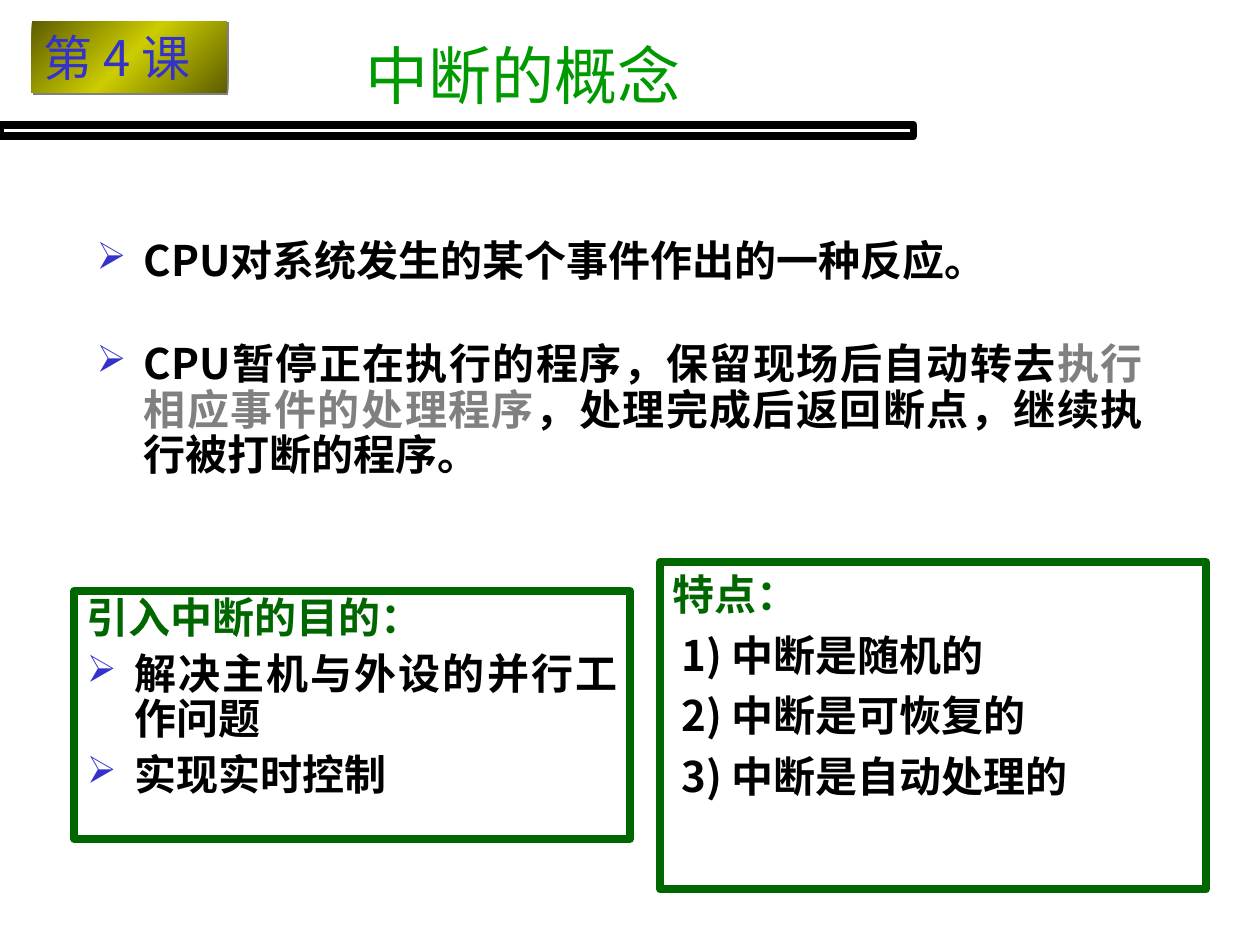
from dataclasses import dataclass

import pptx
import pptx.dml.color
import pptx.enum.shapes
import pptx.enum.text
import pptx.oxml
import pptx.oxml.ns
import pptx.util
from lxml import etree

Pt = pptx.util.Pt
RGB = pptx.dml.color.RGBColor.from_string
qn = pptx.oxml.ns.qn
ALIGN = pptx.enum.text.PP_ALIGN
ANCHOR = pptx.enum.text.MSO_ANCHOR
RECTANGLE = pptx.enum.shapes.MSO_SHAPE.RECTANGLE


@dataclass(frozen=True)
class Theme:
    font: str = "Noto Sans CJK SC"
    badge_font: str = "Noto Sans CJK JP"
    title_size: int = 36
    badge_size: int = 28
    body_size: int = 24
    title: str = "009900"
    heading: str = "006600"
    ink: str = "000000"
    muted: str = "808080"
    accent: str = "3333CC"
    gold: str = "CCCC00"
    dark_gold: str = "5E5E00"
    border: float = 4.5
    hanging: int = 27
    gap: int = 6


THEME = Theme()


def add_run(para, text, size, color, bold=False, font=THEME.font):
    span = para.add_run()
    span.text = text
    span.font.size = Pt(size)
    span.font.bold = bold
    span.font.name = font
    span.font.color.rgb = RGB(color)
    etree.SubElement(span.font._element, qn("a:ea"), typeface=font)


def set_indent(para, left, first):
    properties = para._p.get_or_add_pPr()
    properties.set("marL", str(Pt(left)))
    properties.set("indent", str(Pt(first)))
    return properties


def add_bullet(para):
    properties = set_indent(para, THEME.hanging, -THEME.hanging)
    color = etree.SubElement(properties, qn("a:buClr"))
    etree.SubElement(color, qn("a:srgbClr"), val=THEME.accent)
    etree.SubElement(properties, qn("a:buSzPct"), val="90000")
    etree.SubElement(properties, qn("a:buChar"), char="➢")


def add_paragraphs(frame, items, line_spacing, gap=THEME.gap):
    """Each item is (kind, [(text, color), ...])."""
    for index, (kind, runs) in enumerate(items):
        para = frame.add_paragraph() if index else frame.paragraphs[0]
        para.alignment = ALIGN.JUSTIFY
        para.line_spacing = line_spacing
        if index:
            para.space_before = Pt(gap)
        if kind == "bullet":
            add_bullet(para)
        elif kind == "number":
            set_indent(para, 5, 0)
        for text, color in runs:
            add_run(para, text, THEME.body_size, color, bold=True)


def add_rectangle(slide, left, top, width, height, line=None):
    box = slide.shapes.add_shape(RECTANGLE, Pt(left), Pt(top), Pt(width), Pt(height))
    box.shadow.inherit = False
    box.fill.background()
    if line:
        box.line.color.rgb = RGB(line)
        box.line.width = Pt(THEME.border)
    else:
        box.line.fill.background()
    frame = box.text_frame
    frame.word_wrap = True
    frame.vertical_anchor = ANCHOR.TOP
    return box


def add_badge(slide, text):
    badge = add_rectangle(slide, 18, 12.2, 111.6, 41)
    badge.fill.gradient()
    fill = badge._element.spPr.find(qn("a:gradFill"))
    stops = fill.find(qn("a:gsLst"))
    for stop in list(stops):
        stops.remove(stop)
    for position, color in ((0, THEME.dark_gold), (50, THEME.gold), (100, THEME.dark_gold)):
        stop = etree.SubElement(stops, qn("a:gs"), pos=str(position * 1000))
        etree.SubElement(stop, qn("a:srgbClr"), val=color)
    fill.find(qn("a:lin")).set("ang", str(45 * 60000))
    effects = badge._element.spPr.find(qn("a:effectLst"))
    shadow = etree.SubElement(effects, qn("a:outerShdw"), dist=str(Pt(1.4)), dir=str(45 * 60000))
    etree.SubElement(shadow, qn("a:srgbClr"), val=THEME.muted)
    badge.text_frame.word_wrap = False
    para = badge.text_frame.paragraphs[0]
    para.alignment = ALIGN.LEFT
    add_run(para, text, THEME.badge_size, THEME.accent, font=THEME.badge_font)


def set_title(slide, text):
    title = slide.shapes.title
    title.left, title.top, title.width, title.height = Pt(201.6), Pt(9.4), Pt(295.2), Pt(66.2)
    frame = title.text_frame
    frame.vertical_anchor = ANCHOR.MIDDLE
    para = frame.paragraphs[0]
    para.alignment = ALIGN.JUSTIFY
    add_run(para, text, THEME.title_size, THEME.title)


def add_definitions(slide):
    box = slide.shapes.add_textbox(Pt(48.2), Pt(133.9), Pt(612), Pt(187.2))
    box.text_frame.word_wrap = True
    add_paragraphs(box.text_frame, [
        ("bullet", [("CPU对系统发生的某个事件作出的一种反应。", THEME.ink)]),
        ("bullet", [
            ("CPU暂停正在执行的程序，保留现场后自动转去", THEME.ink),
            ("执行相应事件的处理程序", THEME.muted),
            ("，处理完成后返回断点，继续执行被打断的程序。", THEME.ink),
        ]),
    ], line_spacing=0.9, gap=33)


def add_panel(slide, place, heading, kind, lines, line_spacing):
    panel = add_rectangle(slide, *place, line=THEME.heading)
    items = [("plain", [(heading, THEME.heading)])]
    items += [(kind, [(line, THEME.ink)]) for line in lines]
    add_paragraphs(panel.text_frame, items, line_spacing)


def main():
    deck = pptx.Presentation()
    deck.slide_width, deck.slide_height = Pt(720), Pt(540)
    page = deck.slides.add_slide(deck.slide_layouts[5])

    # Header: rule, lesson badge and title
    add_rectangle(page, 0, 71.3, 522, 6.5, line=THEME.ink)
    add_badge(page, "第 4 课")
    set_title(page, "中断的概念")

    # Definitions
    add_definitions(page)

    # Features and purposes
    features = ["中断是随机的", "中断是可恢复的", "中断是自动处理的"]
    add_panel(page, (377.3, 321.1, 311.8, 187.2), "特点：", "number",
              [f"{number}) {line}" for number, line in enumerate(features, 1)], 1.0)
    add_panel(page, (42.5, 337.7, 317.5, 141.8), "引入中断的目的：", "bullet",
              ["解决主机与外设的并行工作问题", "实现实时控制"], 0.9)

    deck.save("out.pptx")


if __name__ == "__main__":
    main()
